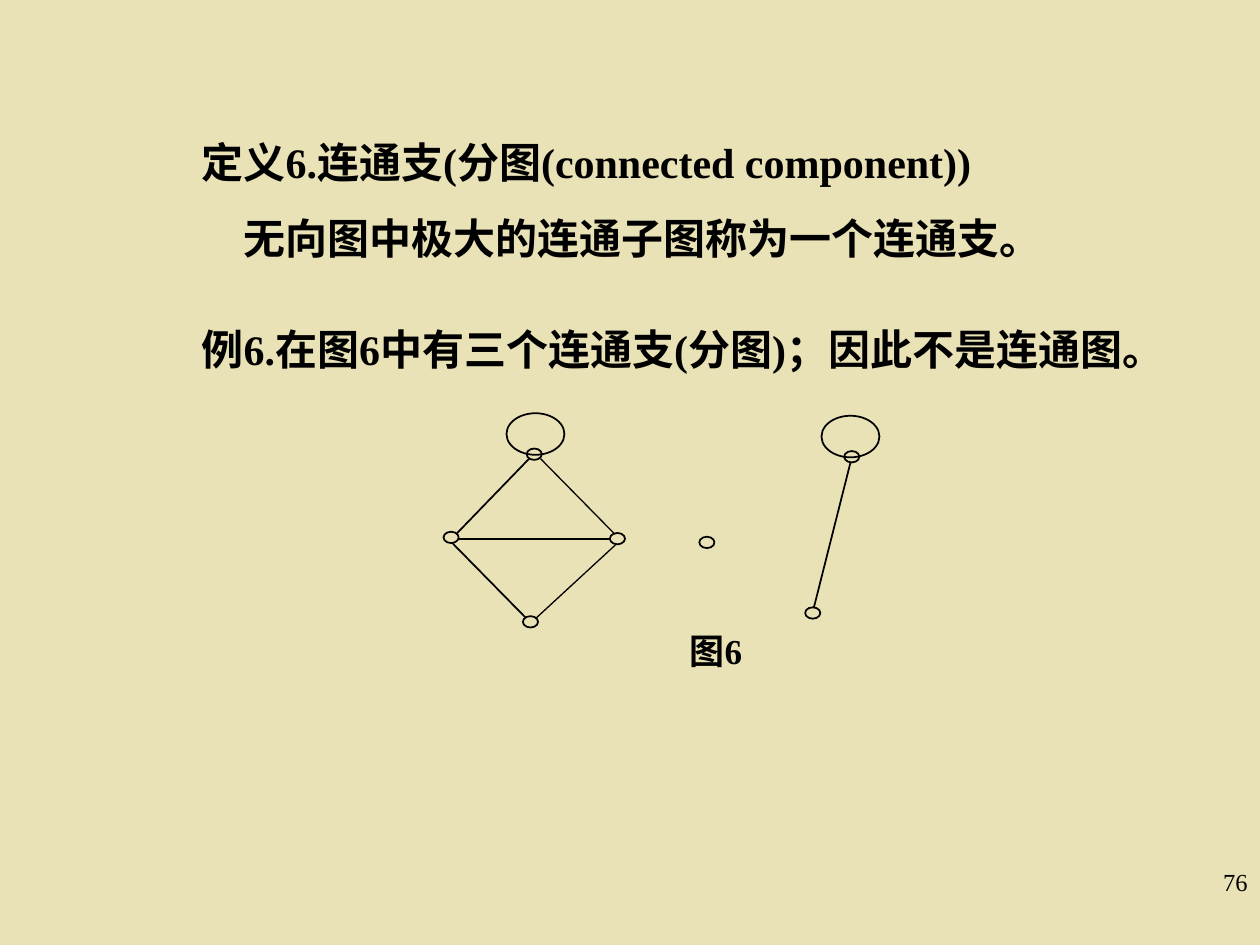
from lxml.etree import SubElement as Sub
from pptx import Presentation
from pptx.dml.color import RGBColor
from pptx.enum.shapes import MSO_CONNECTOR as Link, MSO_SHAPE as Shape
from pptx.enum.text import MSO_ANCHOR as Anchor, MSO_AUTO_SIZE as Fit, PP_ALIGN as Align
from pptx.oxml.ns import qn
from pptx.util import Inches, Pt

COLS, ROWS = 100, 75
WIDE, HIGH = Inches(10), Inches(7.5)
INK, SAND = "000000", "E9E2B6"
DOT, LOOP = (1.2, 0.9), (4.6, 3.3)
LINES = [
    ("定义6.连通支(分图(connected component))", 0, 0, Align.LEFT),
    ("无向图中极大的连通子图称为一个连通支。", 24, 6, Align.LEFT),
    ("例6.在图6中有三个连通支(分图)；因此不是连通图。", 0, 26, Align.JUSTIFY),
]
DOTS = [(41.8, 35.6), (35.2, 42.2), (48.4, 42.3), (41.5, 48.9),
        (67, 35.8), (63.9, 48.2), (55.5, 42.6)]
LOOPS = [(40.2, 32.8), (65.2, 33)]
EDGES = [
    (42, 36.4, 36.2, 42.4, 1), (36.4, 42.8, 48.5, 42.8, 1),
    (35.9, 43.1, 41.7, 49, 1), (48.9, 43.2, 42.5, 49.1, 0.75),
    (42.9, 36.4, 48.8, 42.4, 0.75), (67.5, 36.7, 64.6, 48.2, 1),
]


def grid(*spots):
    """Turn column, row pairs into slide lengths."""
    units = (WIDE / COLS, HIGH / ROWS)
    return [int(spot * units[i % 2]) for i, spot in enumerate(spots)]


def hue(code):
    """Read a hex string as a colour."""
    return RGBColor.from_string(code)


def style(para, size, bold=True):
    """Format the runs of a paragraph."""
    for run in para.runs:
        font = run.font
        font.name, font.size, font.bold = "Times New Roman", Pt(size), bold
        font.color.rgb = hue(INK)


def body(slide):
    """Fill the body placeholder with the definition and the example."""
    slide.shapes.title.element.getparent().remove(slide.shapes.title.element)
    box = slide.placeholders[1]
    box.left, box.top, box.width, box.height = grid(15, 9.1, 83.3, 61.7)
    frame = box.text_frame
    frame.auto_size, frame.vertical_anchor = Fit.NONE, Anchor.TOP
    frame.text = "\n".join(line[0] for line in LINES)
    for para, (_, indent, gap, align) in zip(frame.paragraphs, LINES):
        props = para._p.get_or_add_pPr()
        props.set("marL", "0")
        props.set("indent", str(Pt(indent)))
        Sub(props, qn("a:buNone"))
        para.alignment, para.line_spacing = align, 1.3
        para.space_before = Pt(gap)
        style(para, 24)


def label(shapes, text, place, size, align, bold, pad):
    """Add a one-line text box."""
    frame = shapes.add_textbox(*grid(*place)).text_frame
    frame.word_wrap = True
    frame.margin_left = frame.margin_right = Inches(2 * pad)
    frame.margin_top = frame.margin_bottom = Inches(pad)
    frame.text = text
    para = frame.paragraphs[0]
    para.alignment = align
    style(para, size, bold)


def ring(shapes, spot, size):
    """Add a hollow ellipse."""
    shape = shapes.add_shape(Shape.OVAL, *grid(*spot, *size))
    shape.shadow.inherit = False
    shape.fill.background()
    shape.line.color.rgb, shape.line.width = hue(INK), Pt(1)


def edge(shapes, ends, width):
    """Add a straight edge of the graph."""
    line = shapes.add_connector(Link.STRAIGHT, *grid(*ends))
    line.line.color.rgb, line.line.width = hue(INK), Pt(width)
    Sub(line._element.spPr, qn("a:effectLst"))


def graph(slide):
    """Draw the three components and their caption in a group."""
    shapes = slide.shapes.add_group_shape().shapes
    label(shapes, "图6", (54.2, 50, 5.2, 3.3), 20, Align.CENTER, True, 0)
    for spots, size in ((DOTS, DOT), (LOOPS, LOOP)):
        for spot in spots:
            ring(shapes, spot, size)
    for *ends, width in EDGES:
        edge(shapes, ends, width)


def main():
    """Build and save the slide."""
    deck = Presentation()
    deck.slide_width, deck.slide_height = WIDE, HIGH
    slide = deck.slides.add_slide(deck.slide_layouts[1])
    fill = slide.background.fill
    fill.solid()
    fill.fore_color.rgb = hue(SAND)
    body(slide)
    graph(slide)
    label(slide.shapes, "76", (79.2, 68.3, 20.8, 5), 14, Align.RIGHT, False, 0.05)
    deck.save("out.pptx")


if __name__ == "__main__":
    main()
